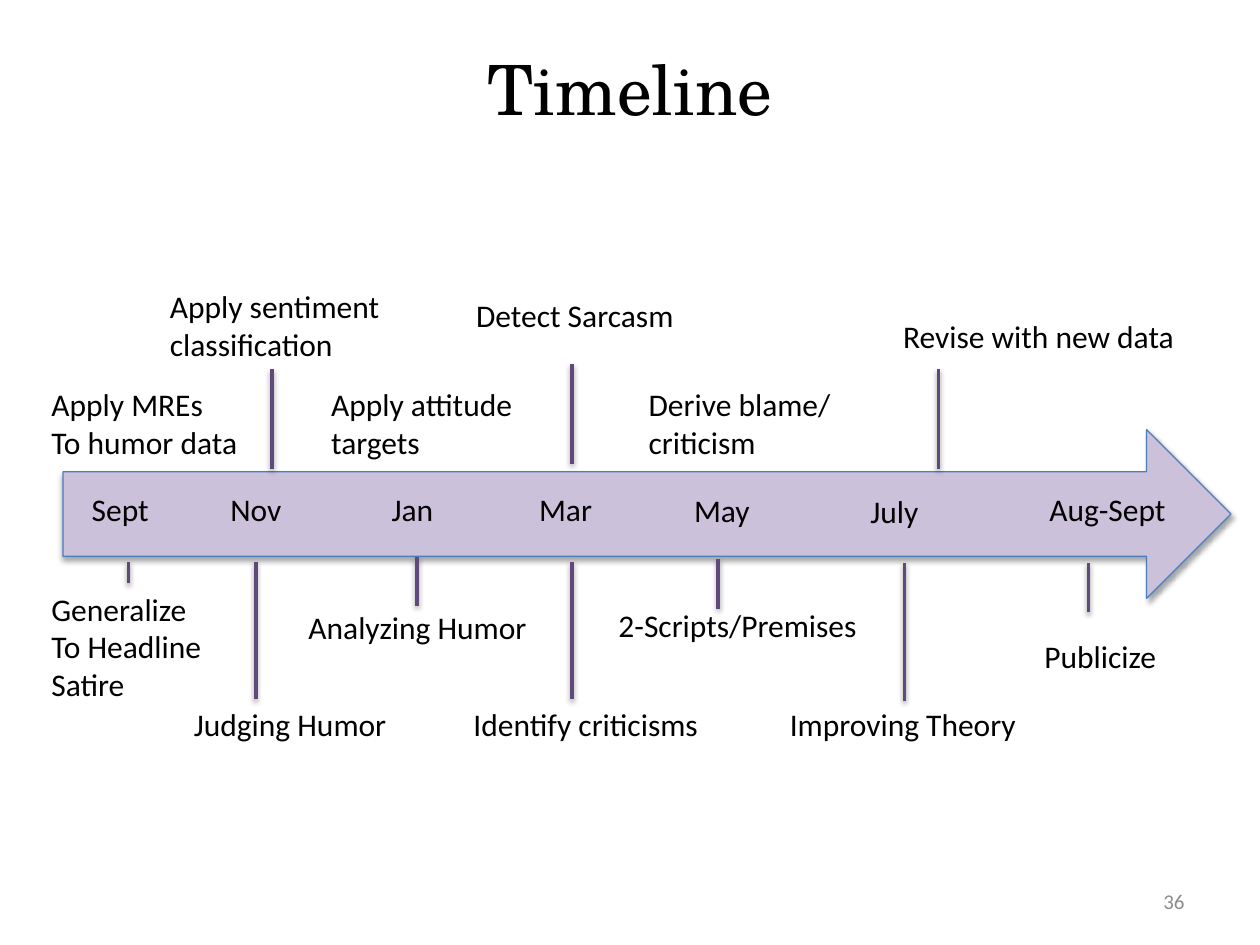
"""Build a project timeline slide with an arrow of months and labelled milestones."""
from pptx import Presentation
from pptx.dml.color import RGBColor
from pptx.enum.shapes import MSO_CONNECTOR as Connector, MSO_SHAPE as Shape
from pptx.enum.text import MSO_ANCHOR as Anchor, MSO_AUTO_SIZE as AutoSize, PP_ALIGN as Align
from pptx.oxml import parse_xml
from pptx.oxml.ns import nsdecls
from pptx.util import Inches, Pt

BLACK = RGBColor(0x00, 0x00, 0x00)
GREY = RGBColor(0x8C, 0x8C, 0x8C)
LILAC = RGBColor(0xCC, 0xC1, 0xDA)
BLUE = RGBColor(0x4B, 0x7E, 0xBC)
PURPLE = RGBColor(0x60, 0x4A, 0x7B)

deck = Presentation()
deck.slide_width, deck.slide_height = Inches(10), Inches(7.5)
COLUMN, ROW = deck.slide_width / 100, deck.slide_height / 75
page = deck.slides.add_slide(deck.slide_layouts[6])


def add_text(lines, left, top, width, height, size=18, font="Calibri", color=BLACK, align=Align.LEFT):
    box = page.shapes.add_textbox(
        round(left * COLUMN), round(top * ROW), round(width * COLUMN), round(height * ROW))
    frame = box.text_frame
    frame.word_wrap = True
    frame.text = "\n".join(lines)
    for para in frame.paragraphs:
        para.alignment = align
        para.font.size = Pt(size)
        para.font.name = font
        para.font.color.rgb = color
    return frame


def cast_shadow(shape, opacity, distance):
    shape._element.spPr.append(parse_xml(
        f'<a:effectLst {nsdecls("a")}><a:outerShdw blurRad="{Pt(3.1)}" dist="{Pt(distance)}" '
        f'dir="5400000" rotWithShape="0"><a:srgbClr val="{BLACK}">'
        f'<a:alpha val="{opacity * 1000}"/></a:srgbClr></a:outerShdw></a:effectLst>'))


title = add_text(["Timeline"], 5, 3, 90, 12.5, 39.6, "TeX Gyre Schola", align=Align.CENTER)
title.vertical_anchor = Anchor.MIDDLE
title.margin_bottom = round(5 * ROW)

number = add_text(["36"], 71.7, 69.5, 23.3, 4, 12, color=GREY, align=Align.RIGHT)
number.vertical_anchor = Anchor.MIDDLE

arrow = page.shapes.add_shape(
    Shape.RIGHT_ARROW, round(5 * COLUMN), round(34.1 * ROW), round(92.7 * COLUMN), round(13.4 * ROW))
arrow.fill.solid()
arrow.fill.fore_color.rgb = LILAC
arrow.line.color.rgb = BLUE
arrow.line.width = Pt(0.75)
cast_shadow(arrow, 35, 1.8)

labels = [
    (["Sept"], 6.3, 38.4, 6.6),
    (["Nov"], 17.3, 38.4, 6.1),
    (["Jan"], 30.1, 38.4, 5.4),
    (["Mar"], 41.8, 38.4, 6.3),
    (["May"], 54.1, 38.5, 6.5),
    (["July"], 68.1, 38.6, 5.9),
    (["Aug-Sept"], 82.3, 38.4, 11.4),
    (["Generalize", "To Headline", "Satire"], 3.1, 46.3, 14.3),
    (["Judging Humor"], 14.4, 55.5, 17.5),
    (["Analyzing Humor"], 23.5, 47.8, 19.6),
    (["Identify criticisms"], 36.6, 55.5, 20),
    (["2-Scripts/Premises"], 48.1, 47.6, 21.2),
    (["Improving Theory"], 61.7, 55.5, 20.2),
    (["Publicize"], 81.9, 50.1, 11),
    (["Apply MREs", "To humor data"], 3.1, 30.1, 17.2),
    (["Apply sentiment", "classification"], 12.5, 22.3, 18.8),
    (["Apply attitude", "targets"], 25.3, 30.1, 16.5),
    (["Detect Sarcasm"], 36.8, 23, 17.9),
    (["Derive blame/", "criticism"], 50.5, 30.1, 16.6),
]
for lines, left, top, width in labels:
    frame = add_text(lines, left, top, width, 1 + 3.04 * len(lines))
    frame.word_wrap = False
    frame.auto_size = AutoSize.SHAPE_TO_FIT_TEXT

revision = add_text(["Revise with new data"], 70.7, 24.7, 29.3, 4)
revision.auto_size = AutoSize.SHAPE_TO_FIT_TEXT

LONG, MEDIUM, SHORT, STUB = 10.9, 7.9, 3.9, 1.7
ticks = [
    (10.2, 44.6, STUB),
    (20.3, 44.6, LONG), (45.4, 44.6, LONG), (71.8, 44.7, LONG),
    (21.6, 29.3, MEDIUM), (45.4, 28.9, MEDIUM), (74.5, 29.3, MEDIUM),
    (33.1, 44.2, SHORT), (57, 44.4, SHORT), (86.4, 44.7, SHORT),
]
for column, top, length in ticks:
    x = round(column * COLUMN)
    tick = page.shapes.add_connector(
        Connector.STRAIGHT, x, round((top + length) * ROW), x, round(top * ROW))
    tick.line.color.rgb = PURPLE
    tick.line.width = Pt(2)
    cast_shadow(tick, 38, 1.6)

deck.save("out.pptx")
